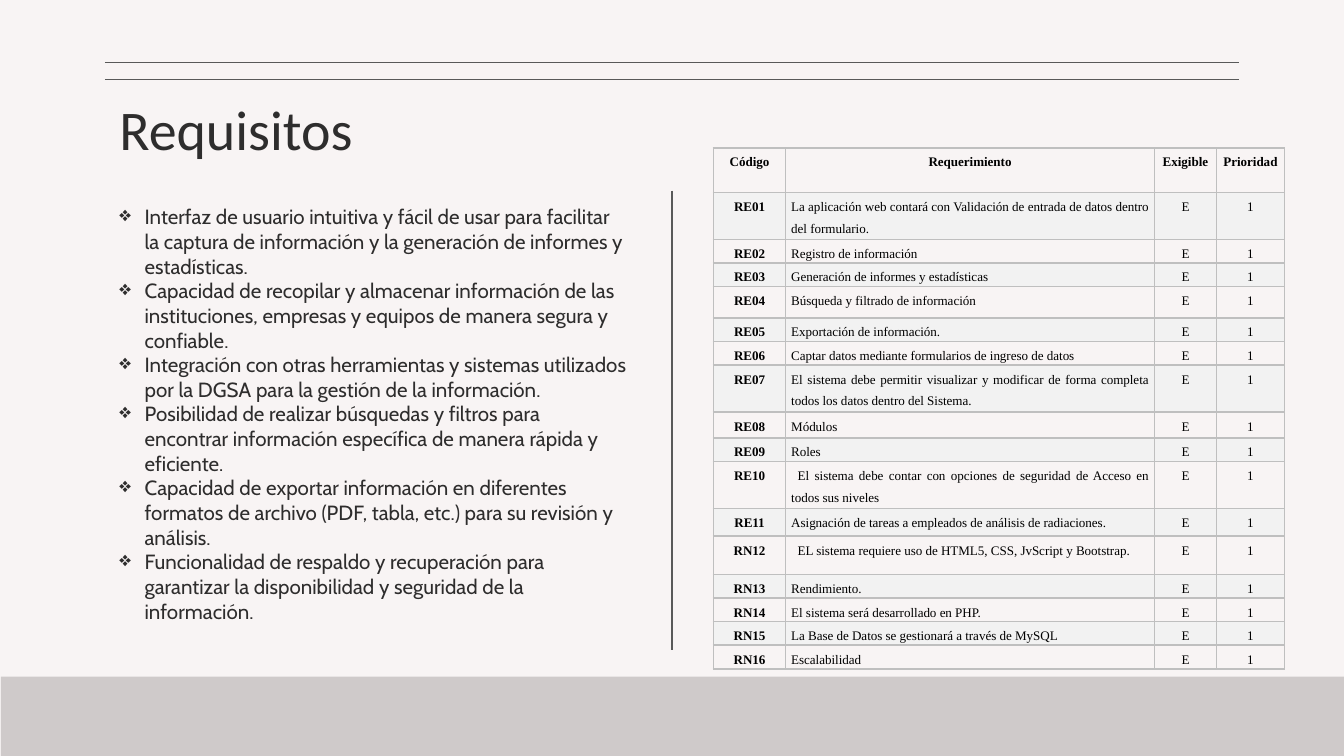
from lxml.etree import SubElement
from pptx import Presentation
from pptx.dml.color import RGBColor
from pptx.enum.shapes import MSO_CONNECTOR, MSO_SHAPE
from pptx.enum.text import MSO_ANCHOR, PP_ALIGN
from pptx.oxml.ns import qn
from pptx.util import Pt

BACKGROUND = RGBColor(0xF8, 0xF4, 0xF4)
BAND = RGBColor(0xCF, 0xCA, 0xCA)
RULE = RGBColor(0x59, 0x59, 0x59)
INK = RGBColor(0x2E, 0x2D, 0x2D)
BLACK = RGBColor(0, 0, 0)
STRIPE = RGBColor(0xF2, 0xF2, 0xF2)
BORDER = RGBColor(0xBF, 0xBF, 0xBF)

TITLE_FONT = {"name": "Calibri", "size": Pt(30)}
BODY_FONT = {"name": "Cabin", "size": Pt(11)}
TABLE_FONT = {"name": "Times New Roman", "size": Pt(7)}

GOALS = [
    "Interfaz de usuario intuitiva y fácil de usar para facilitar la captura de información y la generación de informes y estadísticas.",
    "Capacidad de recopilar y almacenar información de las instituciones, empresas y equipos de manera segura y confiable.",
    "Integración con otras herramientas y sistemas utilizados por la DGSA para la gestión de la información.",
    "Posibilidad de realizar búsquedas y filtros para encontrar información específica de manera rápida y eficiente.",
    "Capacidad de exportar información en diferentes formatos de archivo (PDF, tabla, etc.) para su revisión y análisis.",
    "Funcionalidad de respaldo y recuperación para garantizar la disponibilidad y seguridad de la información.",
]

HEADINGS = ["Código", "Requerimiento", "Exigible", "Prioridad"]
COLUMN_WIDTHS = [38.7, 197.6, 33.2, 36.5]
SHORT, TALL = 12, 23.8
# Code, requirement, row height
REQUIREMENTS = [
    ("RE01", "La aplicación web contará con Validación de entrada de datos dentro del formulario.", TALL),
    ("RE02", "Registro de información", SHORT),
    ("RE03", "Generación de informes y estadísticas", SHORT),
    ("RE04", "Búsqueda y filtrado de información", 16.9),
    ("RE05", "Exportación de información.", SHORT),
    ("RE06", "Captar datos mediante formularios de ingreso de datos", SHORT),
    ("RE07", "El sistema debe permitir visualizar y modificar de forma completa todos los datos dentro del Sistema.", TALL),
    ("RE08", "Módulos", 13.8),
    ("RE09", "Roles", SHORT),
    ("RE10", "El sistema debe contar con opciones de seguridad de Acceso en todos sus niveles", TALL),
    ("RE11", "Asignación de tareas a empleados de análisis de radiaciones.", 14.8),
    ("RN12", "EL sistema requiere uso de HTML5, CSS, JvScript y Bootstrap.", 20.6),
    ("RN13", "Rendimiento.", SHORT),
    ("RN14", "El sistema será desarrollado en PHP.", SHORT),
    ("RN15", "La Base de Datos se gestionará a través de MySQL", SHORT),
    ("RN16", "Escalabilidad", SHORT),
]
INDENTED_CODES = {"RE10", "RN12"}


def style_font(font, color, **values):
    for name, value in values.items():
        setattr(font, name, value)
    font.color.rgb = color


def add_rule(page, left, top, right, bottom):
    line = page.shapes.add_connector(
        MSO_CONNECTOR.STRAIGHT, Pt(left), Pt(top), Pt(right), Pt(bottom))
    line.line.color.rgb = RULE
    line.line.width = Pt(0.75)
    SubElement(line._element.spPr, qn("a:effectLst"))


def add_text_frame(page, left, top, width, height):
    frame = page.shapes.add_textbox(Pt(left), Pt(top), Pt(width), Pt(height)).text_frame
    frame.word_wrap = True
    frame.vertical_anchor = MSO_ANCHOR.TOP
    for side in ("left", "top", "right", "bottom"):
        setattr(frame, f"margin_{side}", Pt(7.2))
    return frame


def add_footer_band(page, left, top, width, height):
    band = page.shapes.add_shape(
        MSO_SHAPE.RECTANGLE, Pt(left), Pt(top), Pt(width), Pt(height))
    band.shadow.inherit = False
    band.fill.solid()
    band.fill.fore_color.rgb = BAND
    band.line.fill.background()


def add_double_rule(page, left, top, width, gap):
    for y in (top, top + gap):
        add_rule(page, left, y, left + width, y)


def add_title(page, left, top, width, height):
    para = add_text_frame(page, left, top, width, height).paragraphs[0]
    para.text = "Requisitos"
    style_font(para.font, INK, **TITLE_FONT)


def add_bullet(para, indent):
    properties = para._p.get_or_add_pPr()
    properties.set("marL", str(Pt(indent)))
    properties.set("indent", str(Pt(-indent)))
    color = SubElement(properties, qn("a:buClr"))
    SubElement(color, qn("a:srgbClr"), val=str(INK))
    SubElement(properties, qn("a:buChar"), char="❖")


def add_goals(page, left, top, width, height):
    frame = add_text_frame(page, left, top, width, height)
    for index, goal in enumerate(GOALS):
        para = frame.add_paragraph() if index else frame.paragraphs[0]
        para.text = goal
        add_bullet(para, 13.5)
        style_font(para.font, INK, **BODY_FONT)


def add_borders(cell):
    properties = cell._tc.get_or_add_tcPr()
    for side in ("lnL", "lnR", "lnT", "lnB"):
        line = SubElement(properties, qn(f"a:{side}"), w=str(Pt(1)))
        fill = SubElement(line, qn("a:solidFill"))
        SubElement(fill, qn("a:srgbClr"), val=str(BORDER))


def fill_cell(cell, text, align, bold, striped):
    margins = {"margin_left": Pt(3), "margin_right": Pt(3),
               "margin_top": 0, "margin_bottom": 0}
    for name, value in margins.items():
        setattr(cell, name, value)
    add_borders(cell)
    if striped:
        cell.fill.solid()
        cell.fill.fore_color.rgb = STRIPE
    else:
        cell.fill.background()
    para = cell.text_frame.paragraphs[0]
    para.alignment = align
    para.line_spacing = 1.5
    span = para.add_run()
    span.text = text
    style_font(span.font, BLACK, bold=bold, **TABLE_FONT)
    return para


def add_requirements_table(page, left, top):
    heights = [TALL] + [height for _, _, height in REQUIREMENTS]
    table = page.shapes.add_table(
        len(heights), len(COLUMN_WIDTHS), Pt(left), Pt(top),
        Pt(sum(COLUMN_WIDTHS)), Pt(sum(heights))).table
    table.first_row = table.horz_banding = False
    for column, width in zip(table.columns, COLUMN_WIDTHS):
        column.width = Pt(width)
    for row, height in zip(table.rows, heights):
        row.height = Pt(height)

    rows = [HEADINGS] + [[code, text, "E", "1"] for code, text, _ in REQUIREMENTS]
    for r, values in enumerate(rows):
        for c, value in enumerate(values):
            align = PP_ALIGN.JUSTIFY if r and c == 1 else PP_ALIGN.CENTER
            para = fill_cell(table.cell(r, c), value, align,
                             bold=r == 0 or c == 0, striped=r % 2 == 1)
            if c == 1 and values[0] in INDENTED_CODES:
                para._p.get_or_add_pPr().set("indent", str(Pt(3.5)))


def main():
    deck = Presentation()
    deck.slide_width, deck.slide_height = Pt(720), Pt(405)
    page = deck.slides.add_slide(deck.slide_layouts[6])
    page.background.fill.solid()
    page.background.fill.fore_color.rgb = BACKGROUND

    # Frame of the page
    add_footer_band(page, 0.5, 362.5, 719.5, 42.5)
    add_double_rule(page, 56.2, 33.6, 607.6, 9)
    # Title and goals on the left, divider, requirements on the right
    add_title(page, 56.9, 43.2, 607, 45.4)
    add_goals(page, 56.9, 102.2, 287.3, 246.2)
    add_rule(page, 360, 102.2, 360, 348.4)
    add_requirements_table(page, 382.2, 79.3)
    deck.save("out.pptx")


if __name__ == "__main__":
    main()
